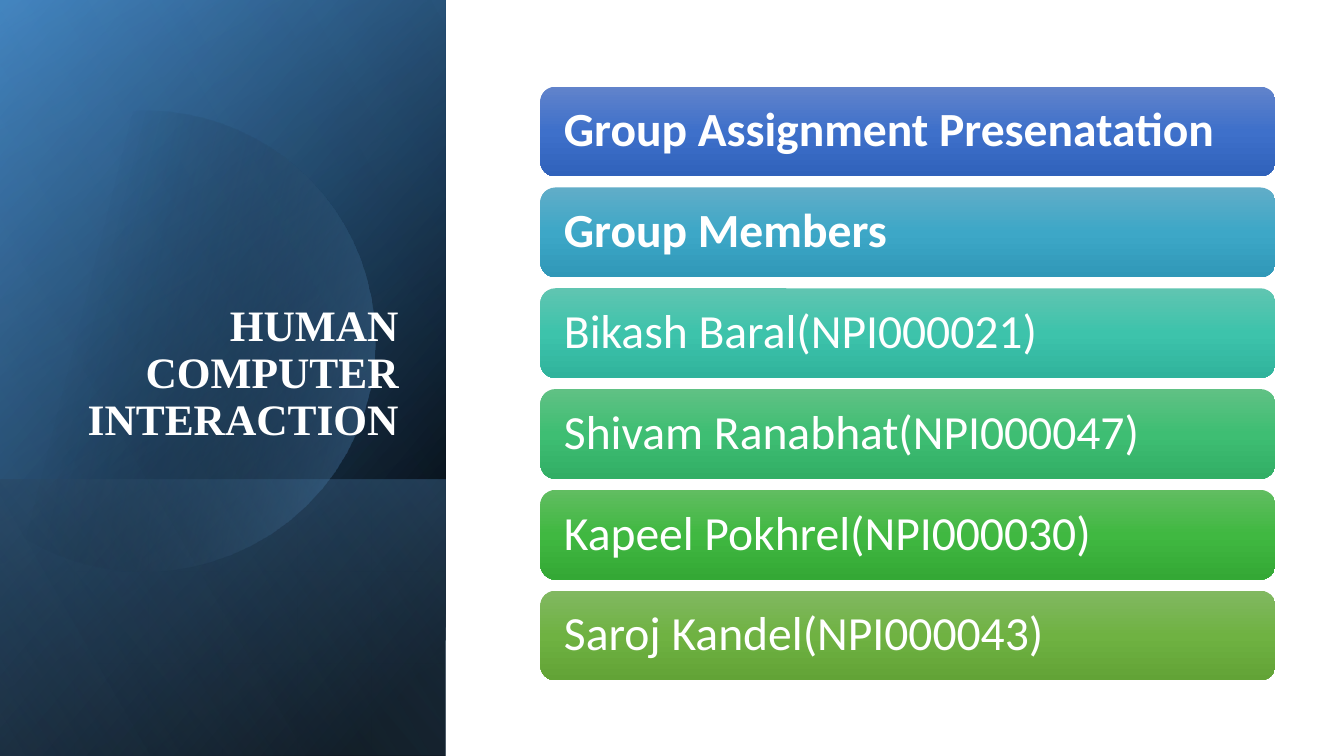
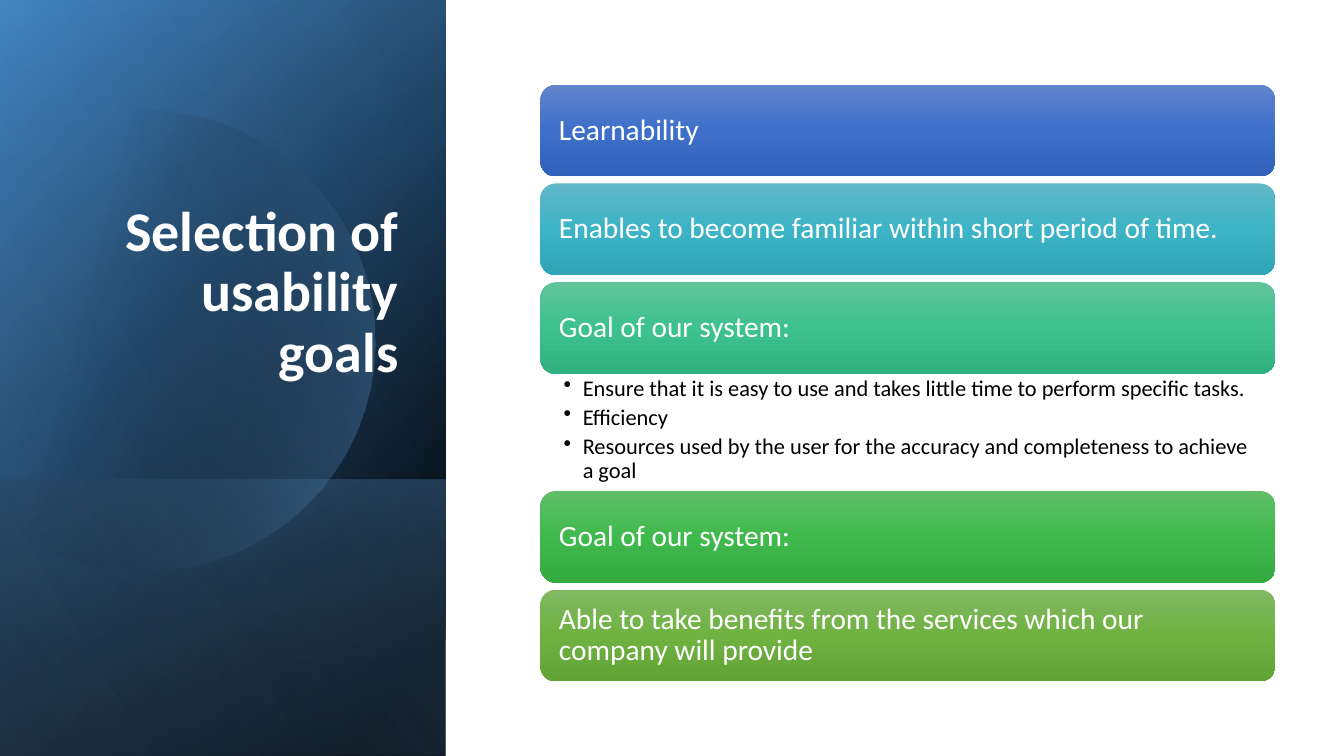
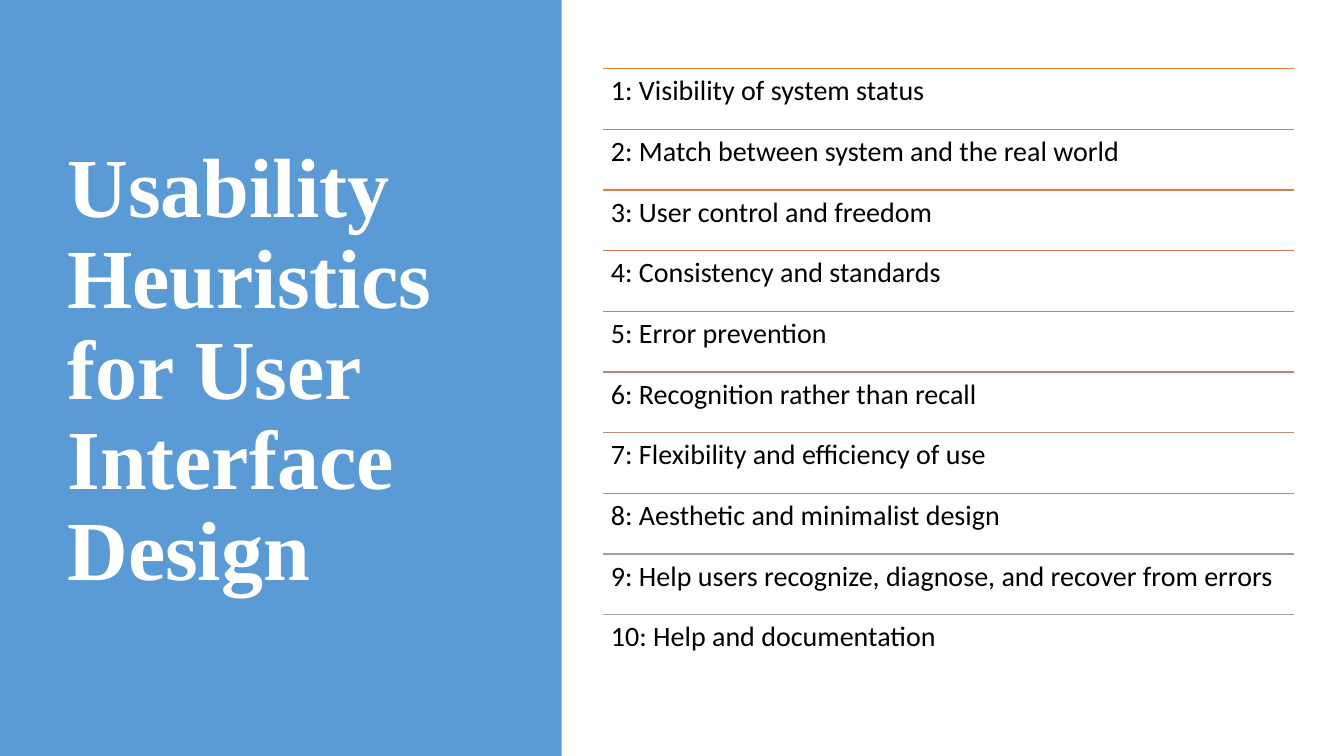
"""Builds three slides on human computer interaction and usability."""
from pptx import Presentation
from pptx import util as u
from pptx.dml.color import RGBColor
from pptx.enum import shapes, text
from pptx.oxml import parse_xml
from pptx.oxml.ns import nsdecls, qn

SERIF, SANS = "Times New Roman", "Calibri"
WHITE, BLACK, BLUE = "FFFFFF", "000000", "5B9BD5"
BAND_W, SLIDE_H = 4.42, 7.5
CARD_X, CARD_W = 5.36, 7.29
CIRCLE_START = (1.49, 1.1)
CIRCLE = [
    [(2.46, 1.12), (3.35, 1.77), (3.63, 2.75)],
    [(3.98, 3.97), (3.28, 5.23), (2.07, 5.58)],
    [(1.31, 5.8), (0.53, 5.61), (-0.03, 5.14)],
    [(-0.15, 5.03)],
    [(-0.15, 1.75)],
    [(0, 1.61)],
    [(0.23, 1.42), (0.5, 1.28), (0.8, 1.19)],
    [(1.03, 1.13), (1.26, 1.1), (1.49, 1.1)],
]


def rgb(value):
    return RGBColor.from_string(value)


def curve_points(start, segments, steps=16):
    points, last = [], start
    for seg in segments:
        if len(seg) == 1:
            points += seg
        else:
            a, b, c = seg
            for i in range(1, steps + 1):
                t = i / steps
                w = ((1 - t) ** 3, 3 * t * (1 - t) ** 2, 3 * t * t * (1 - t), t ** 3)
                points.append(tuple(sum(k * q[axis] for k, q in zip(w, (last, a, b, c)))
                                    for axis in (0, 1)))
        last = seg[-1]
    return points


def write(sp, lines, size=20, font=SANS, color=BLACK, bold=False, align=text.PP_ALIGN.LEFT,
          anchor=text.MSO_ANCHOR.TOP, ins=(0.1, 0.05, 0.1, 0.05), after=0, bullet=None):
    tf = sp.text_frame
    tf.word_wrap = True
    tf.vertical_anchor = anchor
    tf.margin_left, tf.margin_top, tf.margin_right, tf.margin_bottom = map(u.Inches, ins)
    for i, line in enumerate([lines] if isinstance(lines, str) else lines):
        p = tf.add_paragraph() if i else tf.paragraphs[0]
        p.alignment, p.line_spacing, p.space_after = align, 0.9, u.Pt(after)
        if bullet:
            pPr = p._p.get_or_add_pPr()
            pPr.set("marL", str(u.Inches(0.19)))
            pPr.set("indent", str(-u.Inches(0.19)))
            pPr.append(parse_xml(f'<a:buChar {nsdecls("a")} char="{bullet}"/>'))
        r = p.add_run()
        r.text = line
        r.font.size, r.font.name, r.font.bold = u.Pt(size), font, bold
        r.font.color.rgb = rgb(color)


class Deck:
    def __init__(self):
        self.prs = Presentation()
        self.prs.slide_width, self.prs.slide_height = u.Inches(13.33), u.Inches(SLIDE_H)
        self.s = None

    def slide(self):
        self.s = self.prs.slides.add_slide(self.prs.slide_layouts[6])

    def plain(self, sp):
        sp.shadow.inherit = False
        sp.line.fill.background()
        return sp

    def gradient(self, sp, stops, angle):
        sp.fill.background()
        gs = "".join(
            f'<a:gs pos="{pos * 1000}"><a:srgbClr val="{color}">'
            f'<a:alpha val="{alpha * 1000}"/></a:srgbClr></a:gs>'
            for pos, color, alpha in stops)
        spPr = sp._element.spPr
        spPr.replace(spPr.find(qn("a:noFill")), parse_xml(
            f'<a:gradFill {nsdecls("a")} rotWithShape="1"><a:gsLst>{gs}</a:gsLst>'
            f'<a:lin ang="{angle * 60000}" scaled="0"/></a:gradFill>'))

    def shape(self, kind, x, y, w, h):
        return self.plain(self.s.shapes.add_shape(kind, *map(u.Inches, (x, y, w, h))))

    def panel(self, x, y, w, h, color):
        sp = self.shape(shapes.MSO_SHAPE.RECTANGLE, x, y, w, h)
        sp.fill.solid()
        sp.fill.fore_color.rgb = rgb(color)

    def turned_band(self, top, height, stops, angle):
        x, y = (BAND_W - height) / 2, top + (height - BAND_W) / 2
        sp = self.shape(shapes.MSO_SHAPE.RECTANGLE, x, y, height, BAND_W)
        sp.rotation = 90
        sp._element.spPr.xfrm.set("flipH", "1")
        self.gradient(sp, stops, angle)

    def circle(self):
        emu = lambda pt: tuple(map(u.Inches, pt))
        fb = self.s.shapes.build_freeform(*emu(CIRCLE_START))
        fb.add_line_segments([emu(pt) for pt in curve_points(CIRCLE_START, CIRCLE)])
        sp = self.plain(fb.convert_to_shape())
        self.gradient(sp, [(29, BLACK, 0), (100, BLUE, 43)], 14)

    def side_band(self):
        self.turned_band(0, SLIDE_H, [(8, BLACK, 100), (100, "2E75B6", 100)], 50)
        self.turned_band(0, SLIDE_H, [(0, BLACK, 0), (99, BLUE, 46)], 30)
        self.turned_band(4.76, 2.74, [(2, BLUE, 29), (100, BLACK, 30)], 130)
        self.circle()
        self.turned_band(0, SLIDE_H, [(0, BLACK, 0), (99, "9DC3E6", 11)], 120)

    def text(self, x, y, w, h, lines, **fmt):
        write(self.s.shapes.add_textbox(*map(u.Inches, (x, y, w, h))), lines, **fmt)

    def title(self, x, y, w, h, words, **fmt):
        self.text(x, y, w, h, words, color=WHITE, bold=True, **fmt)

    def band_title(self, words, height, **fmt):
        self.title(0.64, 1.84, 3.41, height, words, align=text.PP_ALIGN.RIGHT,
                   anchor=text.MSO_ANCHOR.BOTTOM, **fmt)

    def cards(self, top, height, step, inset, size, items, bold_count=0):
        for i, (words, *colors) in enumerate(items):
            sp = self.shape(shapes.MSO_SHAPE.ROUNDED_RECTANGLE,
                            CARD_X, top + i * step, CARD_W, height)
            self.gradient(sp, [(pos, c, 100) for pos, c in zip((0, 50, 100), colors)], 90)
            write(sp, words, size=size, color=WHITE, bold=i < bold_count,
                  anchor=text.MSO_ANCHOR.MIDDLE, ins=(inset,) * 4)

    def rule(self, x, y, w, color):
        line = self.s.shapes.add_connector(
            shapes.MSO_CONNECTOR.STRAIGHT, *map(u.Inches, (x, y, x + w, y)))
        line.line.color.rgb, line.line.width = rgb(color), u.Pt(1)
        line._element.spPr.append(parse_xml(f'<a:effectLst {nsdecls("a")}/>'))


def members(d):
    d.slide()
    d.side_band()
    d.band_title("HUMAN COMPUTER INTERACTION", 2.62, size=31, font=SERIF)
    d.cards(0.86, 0.89, 1, 0.19, 34, [
        ("Group Assignment Presenatation", "6183CB", "3E70CA", "3062BB"),
        ("Group Members", "61ADC8", "3DA7C7", "3098B8"),
        ("Bikash Baral(NPI000021)", "60C5B1", "3DC3AB", "30B39C"),
        ("Shivam Ranabhat(NPI000047)", "60C184", "3EBE73", "32AE65"),
        ("Kapeel Pokhrel(NPI000030)", "61BD61", "40B841", "34A835"),
        ("Saroj Kandel(NPI000043)", "81B861", "6FB242", "62A336"),
    ], bold_count=2)


def goals(d):
    d.slide()
    d.side_band()
    d.band_title("Selection of usability goals", 2.02, size=40)
    card = dict(height=0.91, step=0.98, inset=0.14, size=21)
    d.cards(0.84, **card, items=[
        ("Learnability", "6183CB", "3E70CA", "3062BB"),
        ("Enables to become familiar within short period of time.",
         "61B8C7", "3DB4C6", "30A5B7"),
        ("Goal of our system:", "60C39A", "3DC18F", "31B080"),
    ])
    d.text(CARD_X, 3.71, CARD_W, 1.16, [
        "Ensure that it is easy to use and takes little time to perform specific tasks.",
        "Efficiency",
        "Resources used by the user for the accuracy and completeness to achieve a goal",
    ], size=16, ins=(0.23, 0.03, 0.16, 0.03), after=3.5, bullet="•")
    d.cards(4.87, **card, items=[
        ("Goal of our system:", "60BE68", "40B94D", "34AA41"),
        ("Able to take benefits from the services which our company will provide",
         "81B861", "6FB242", "62A336"),
    ])


def heuristics(d):
    d.slide()
    d.panel(0, 0, 5.57, SLIDE_H, BLUE)
    d.title(0.57, 0.68, 4.16, 6.02, "Usability Heuristics for User Interface Design",
            size=60, font=SERIF, anchor=text.MSO_ANCHOR.MIDDLE)
    rows = [
        ("Visibility of system status", "ED7D31"),
        ("Match between system and the real world", "E37A40"),
        ("User control and freedom", "DA7A4E"),
        ("Consistency and standards", "D17B5C"),
        ("Error prevention", "C87F69"),
        ("Recognition rather than recall", "C08376"),
        ("Flexibility and efficiency of use", "B98A82"),
        ("Aesthetic and minimalist design", "B2928E"),
        ("Help users recognize, diagnose, and recover from errors", "AB9B9A"),
        ("Help and documentation", "A5A5A5"),
    ]
    x, top, w, h = 5.98, 0.68, 6.85, 6.02 / len(rows)
    for i, (words, color) in enumerate(rows):
        y = top + i * h
        d.rule(x, y, w, color)
        d.text(x, y, w, h, f"{i + 1}: {words}", ins=(0.08,) * 4)


def main():
    d = Deck()
    members(d)
    goals(d)
    heuristics(d)
    d.prs.save("out.pptx")


if __name__ == "__main__":
    main()
